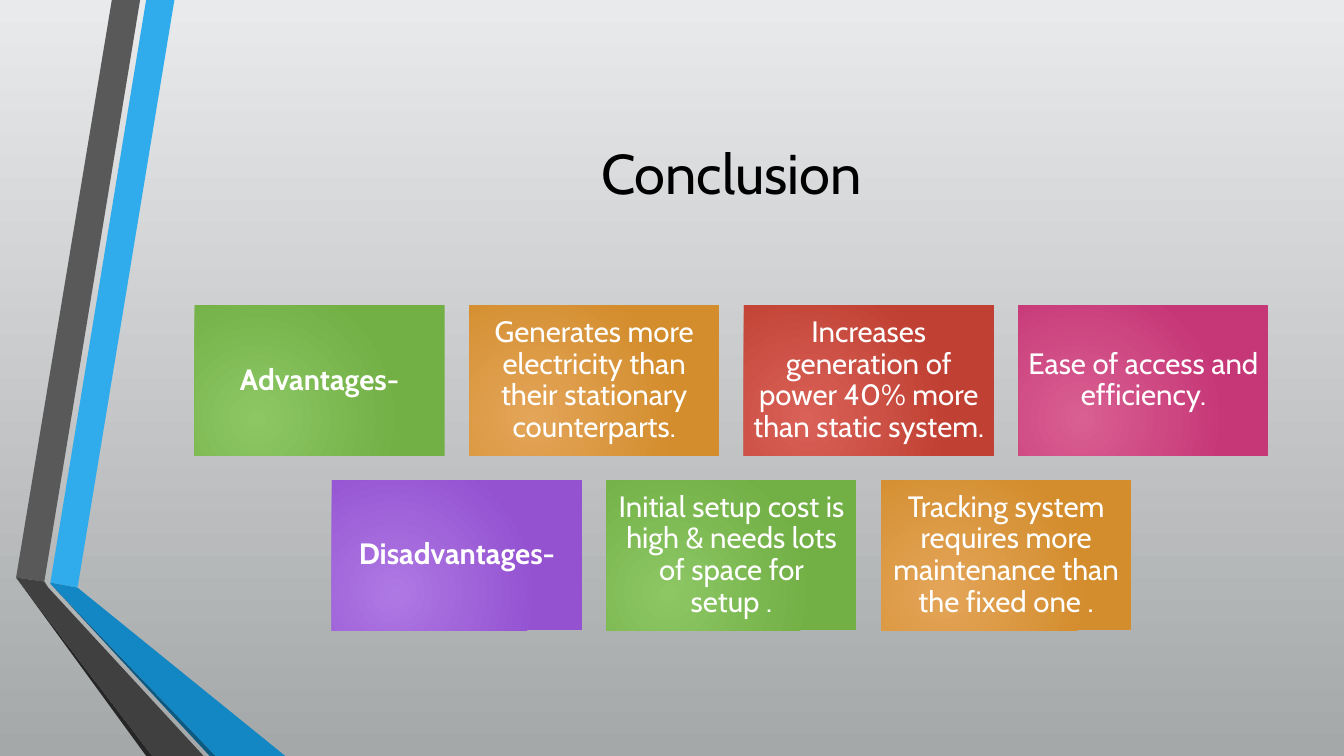
from lxml import etree
from pptx import Presentation
from pptx.dml.color import RGBColor
from pptx.enum.shapes import MSO_SHAPE
from pptx.enum.text import MSO_ANCHOR, PP_ALIGN
from pptx.oxml.ns import qn
from pptx.util import Inches, Pt

RECTANGLE = MSO_SHAPE.RECTANGLE
CENTER = PP_ALIGN.CENTER
MIDDLE = MSO_ANCHOR.MIDDLE
FONT = "Cabin"
TITLE_ONLY = 5

BLACK = RGBColor(0x00, 0x00, 0x00)
WHITE = RGBColor(0xFF, 0xFF, 0xFF)
BACKGROUND = (RGBColor(0xE9, 0xEA, 0xEB), RGBColor(0xA5, 0xA8, 0xA9))
GREEN = (RGBColor(0x8C, 0xC7, 0x64), RGBColor(0x72, 0xAF, 0x45))
ORANGE = (RGBColor(0xE4, 0xA5, 0x59), RGBColor(0xD3, 0x8D, 0x2D))
RED = (RGBColor(0xD9, 0x61, 0x57), RGBColor(0xC0, 0x40, 0x33))
PINK = (RGBColor(0xD9, 0x5F, 0x92), RGBColor(0xC6, 0x37, 0x77))
PURPLE = (RGBColor(0xAE, 0x78, 0xE3), RGBColor(0x94, 0x52, 0xD1))

TITLE = "Conclusion"

# Each row: a bold heading card, then its points
ROWS = [
    [
        ("Advantages-", GREEN),
        ("Generates more electricity than their stationary counterparts.", ORANGE),
        ("Increases generation of power 40% more than static system.", RED),
        ("Ease of access and efficiency.", PINK),
    ],
    [
        ("Disadvantages-", PURPLE),
        ("Initial setup cost is high & needs lots of space for setup .", GREEN),
        ("Tracking system requires more maintenance than the fixed one .", ORANGE),
    ],
]

# Folded ribbons: colour and corner points in inches
RIBBONS = [
    (RGBColor(0x30, 0xAC, 0xEC), [(0.5, 5.78), (0.77, 5.83), (1.73, 0), (1.45, 0)]),
    (RGBColor(0x59, 0x59, 0x59), [(1.39, 0), (1.11, 0), (0.16, 5.73), (0.44, 5.77)]),
    (RGBColor(0x26, 0x26, 0x26), [(0.16, 5.73), (1.45, 7.5), (1.51, 7.5)]),
    (RGBColor(0x0C, 0x5A, 0x82), [(0.5, 5.79), (2.08, 7.5), (2.14, 7.5)]),
    (RGBColor(0x12, 0x87, 0xC3),
     [(0.5, 5.79), (2.14, 7.5), (2.83, 7.5), (0.77, 5.83), (0.5, 5.78)]),
    (RGBColor(0x40, 0x40, 0x40),
     [(2.02, 7.5), (0.48, 5.83), (0.44, 5.77), (0.16, 5.73), (1.51, 7.5)]),
]

CONTENT_LEFT, CONTENT_WIDTH = 1.93, 10.65
CARD_WIDTH, CARD_HEIGHT = 2.48, 1.49
CARDS_TOP = 3.03
CARD_INSET = Inches(0.09)
GAP = (CONTENT_WIDTH - 4 * CARD_WIDTH) / 3


def set_gradient(fill, colors):
    """Give a fill two stops running from top to bottom."""
    fill.gradient()
    fill.gradient_angle = 270
    for stop, color, position in zip(fill.gradient_stops, colors, (0, 1)):
        stop.color.rgb = color
        stop.position = position


def make_radial(shape):
    """Turn the linear gradient of a shape into a circular one."""
    gradient = shape.fill._xPr.find(qn("a:gradFill"))
    gradient.remove(gradient.find(qn("a:lin")))
    circle = etree.SubElement(gradient, qn("a:path"), path="circle")
    etree.SubElement(circle, qn("a:fillToRect"),
                     l="50000", t="100000", r="100000", b="50000")


def add_span(para, text, size, color, bold=False):
    para.alignment = CENTER
    span = para.add_run()
    span.text = text
    span.font.name = FONT
    span.font.size = Pt(size)
    span.font.bold = bold
    span.font.color.rgb = color


def add_ribbon(slide, color, points):
    corners = [(Inches(x), Inches(y)) for x, y in points]
    builder = slide.shapes.build_freeform(*corners[0])
    builder.add_line_segments(corners[1:], close=True)
    ribbon = builder.convert_to_shape()
    ribbon.shadow.inherit = False
    ribbon.fill.solid()
    ribbon.fill.fore_color.rgb = color
    ribbon.line.fill.background()


def add_card(slide, left, top, text, colors, bold):
    card = slide.shapes.add_shape(RECTANGLE, Inches(left), Inches(top),
                                  Inches(CARD_WIDTH), Inches(CARD_HEIGHT))
    card.shadow.inherit = False
    card.line.fill.background()
    set_gradient(card.fill, colors)
    make_radial(card)
    frame = card.text_frame
    frame.word_wrap = True
    frame.vertical_anchor = MIDDLE
    frame.margin_left = frame.margin_right = CARD_INSET
    frame.margin_top = frame.margin_bottom = CARD_INSET
    para = frame.paragraphs[0]
    para.line_spacing = 0.9
    add_span(para, text, 21, WHITE, bold)


def main():
    deck = Presentation()
    deck.slide_width, deck.slide_height = Inches(13.33), Inches(7.5)
    slide = deck.slides.add_slide(deck.slide_layouts[TITLE_ONLY])
    set_gradient(slide.background.fill, BACKGROUND)

    for color, points in RIBBONS:
        add_ribbon(slide, color, points)

    title = slide.shapes.title
    title.left, title.top = Inches(CONTENT_LEFT), Inches(0.75)
    title.width, title.height = Inches(CONTENT_WIDTH), Inches(1.92)
    title.text_frame.vertical_anchor = MIDDLE
    add_span(title.text_frame.paragraphs[0], TITLE, 40, BLACK)

    for row, cards in enumerate(ROWS):
        row_width = len(cards) * (CARD_WIDTH + GAP) - GAP
        row_left = CONTENT_LEFT + (CONTENT_WIDTH - row_width) / 2
        top = CARDS_TOP + row * (CARD_HEIGHT + GAP)
        for column, (text, colors) in enumerate(cards):
            left = row_left + column * (CARD_WIDTH + GAP)
            add_card(slide, left, top, text, colors, bold=column == 0)

    deck.save("out.pptx")


if __name__ == "__main__":
    main()
